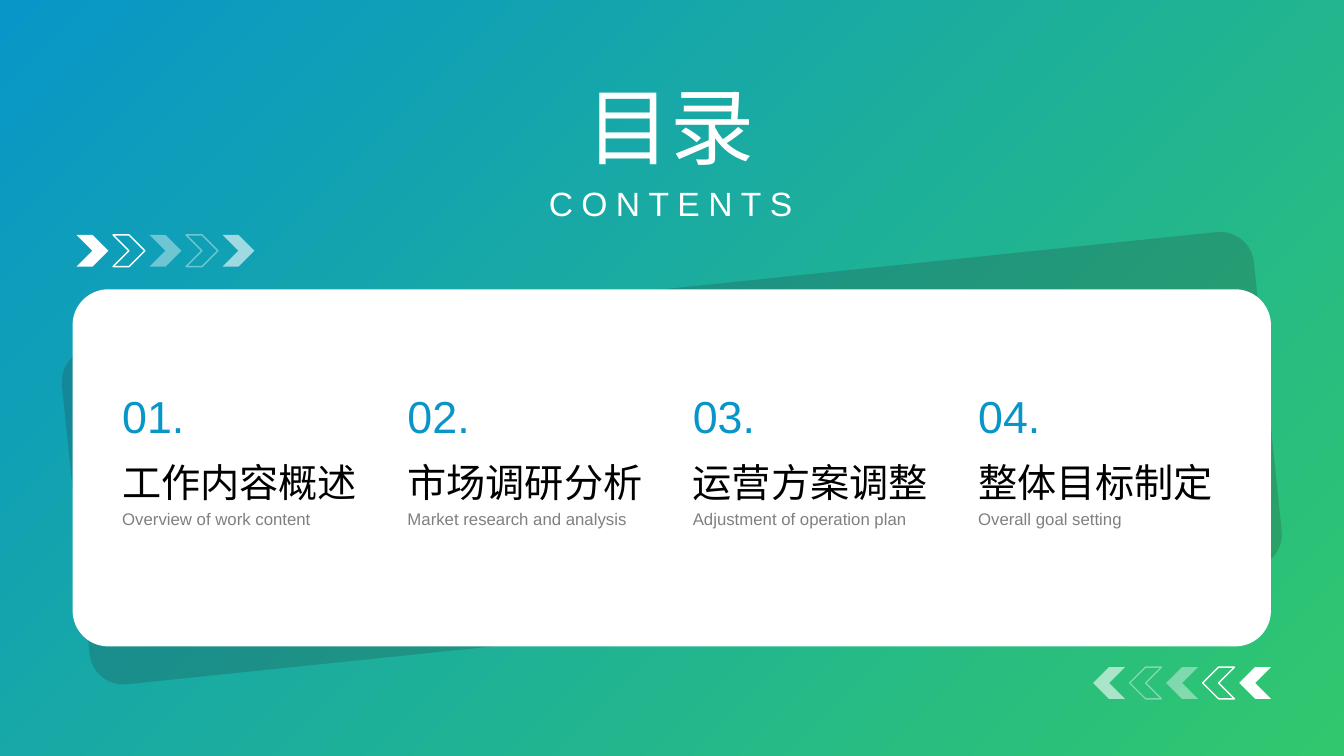
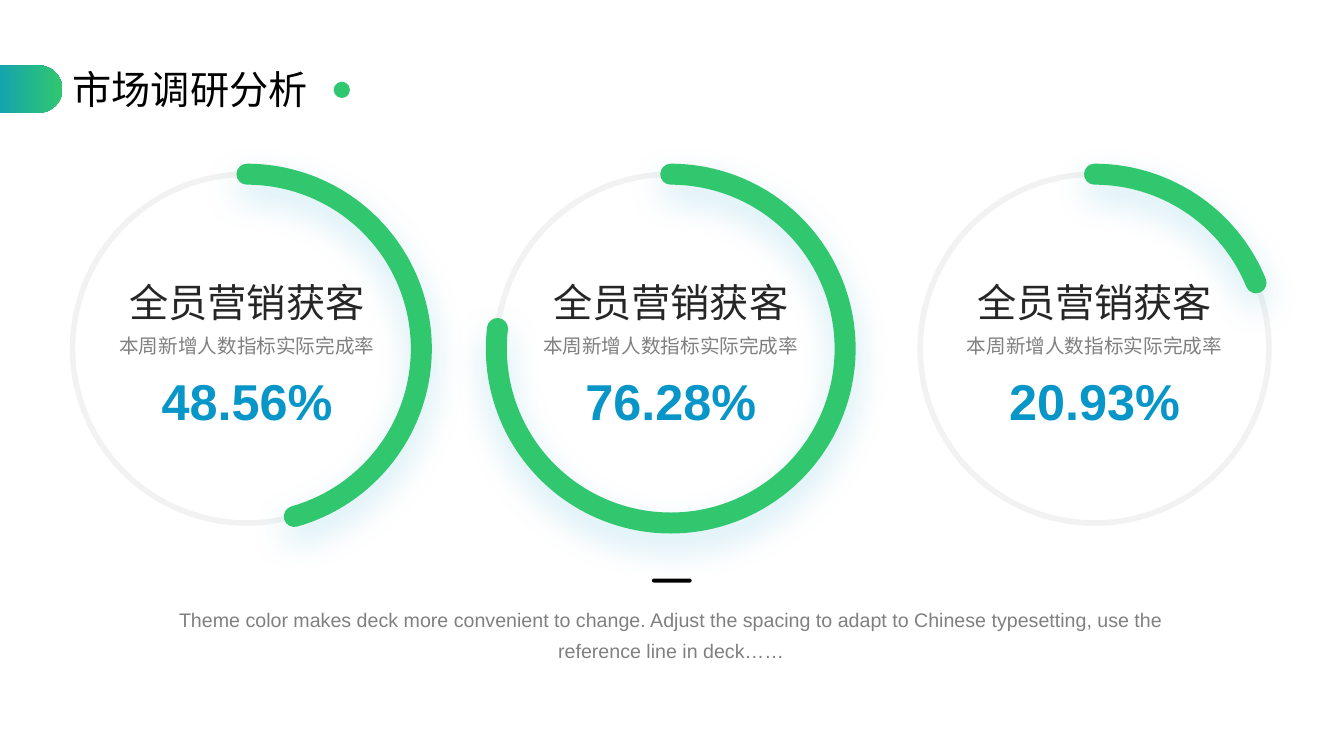
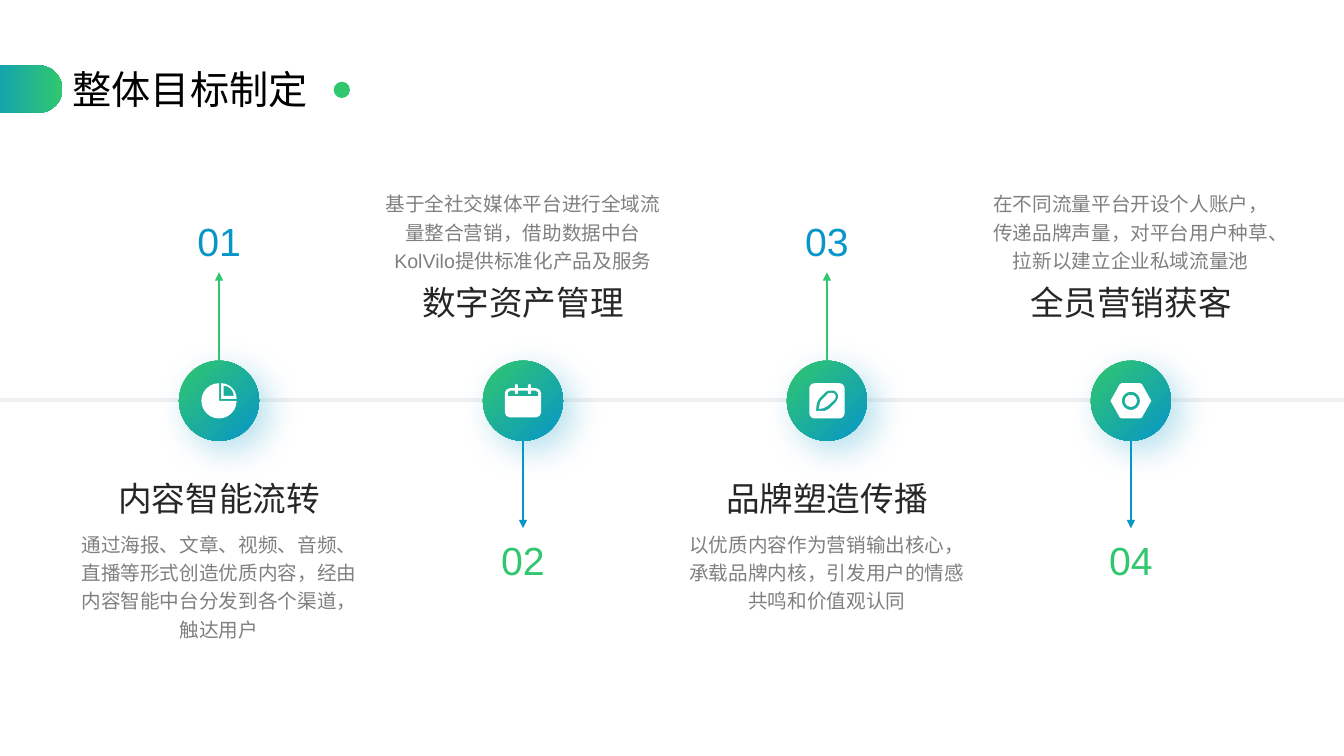
from math import cos, radians, sin

from lxml import etree
from pptx import Presentation
from pptx.dml.color import RGBColor
from pptx.enum.shapes import MSO_CONNECTOR, MSO_SHAPE
from pptx.enum.text import MSO_ANCHOR, MSO_AUTO_SIZE, PP_ALIGN
from pptx.oxml.ns import qn
from pptx.util import Cm, Pt

ARC, CHEVRON, OVAL = MSO_SHAPE.ARC, MSO_SHAPE.CHEVRON, MSO_SHAPE.OVAL
RECTANGLE, ROUNDED = MSO_SHAPE.RECTANGLE, MSO_SHAPE.ROUNDED_RECTANGLE
STRAIGHT = MSO_CONNECTOR.STRAIGHT
TOP, MIDDLE, BOTTOM = MSO_ANCHOR.TOP, MSO_ANCHOR.MIDDLE, MSO_ANCHOR.BOTTOM
LEFT, CENTER = PP_ALIGN.LEFT, PP_ALIGN.CENTER

FONT = "Arial"
BLUE, GREEN = "0896C8", "31C76E"
BLACK, INK, GREY, WHITE = "000000", "262626", "808080", "FFFFFF"
TRACK, AXIS = "F2F2F2", "F0F0F0"


def tint(fill, *colours, alpha=100, angle=0):
    """Fill with nothing, one colour or a two-colour gradient (angle clockwise)."""
    if not colours:
        fill.background()
    elif len(colours) == 1:
        fill.solid()
        fill.fore_color.rgb = RGBColor.from_string(colours[0])
        if alpha < 100:
            colour = fill._xPr.find(qn("a:solidFill"))[0]
            etree.SubElement(colour, qn("a:alpha"), val=str(alpha * 1000))
    else:
        fill.gradient()
        fill.gradient_angle = -angle % 360
        for stop, colour in zip(fill.gradient_stops, colours):
            stop.color.rgb = RGBColor.from_string(colour)


def write(slide, text, box, size, colour, bold=False, align=LEFT, anchor=TOP,
          spacing=None, tracking=0, holder=None):
    """Put text in a new text box, or in holder, at box (cm)."""
    left, top, width, height = map(Cm, box)
    if holder is None:
        holder = slide.shapes.add_textbox(left, top, width, height)
    else:
        holder.left, holder.top, holder.width, holder.height = left, top, width, height
    frame = holder.text_frame
    frame.word_wrap = True
    frame.auto_size = MSO_AUTO_SIZE.NONE
    frame.vertical_anchor = anchor
    frame.margin_left = frame.margin_top = frame.margin_right = frame.margin_bottom = 0
    paragraph = frame.paragraphs[0]
    paragraph.alignment = align
    if spacing:
        paragraph.line_spacing = spacing
    run = paragraph.add_run()
    run.text = text
    run.font.name, run.font.size, run.font.bold = FONT, Pt(size), bold
    tint(run.font.fill, colour)
    if tracking:
        run.font._element.set("spc", str(tracking * 100))


prs = Presentation()
prs.slide_width, prs.slide_height = Cm(33.87), Cm(19.05)
contents, research, goals = [prs.slides.add_slide(prs.slide_layouts[5]) for _ in range(3)]
glows = []  # shape, opacity in percent, direction in degrees

# Heading shared by the content slides
for slide, heading in ((research, "市场调研分析"), (goals, "整体目标制定")):
    tint(slide.background.fill, WHITE)
    write(slide, heading, (1.83, 1.65, 7, 1.19), 28, BLACK, holder=slide.shapes.title)
    dot = slide.shapes.add_shape(OVAL, Cm(8.41), Cm(2.06), Cm(0.41), Cm(0.41))
    tint(dot.fill, GREEN)
    tab = slide.shapes.add_shape(ROUNDED, Cm(-0.64), Cm(1.65), Cm(2.21), Cm(1.19))
    tab.adjustments[0] = 0.5
    tint(tab.fill, BLUE, GREEN)
    for part in (dot, tab):
        tint(part.line.fill)

# Contents
tint(contents.background.fill, BLUE, GREEN, angle=45)
write(contents, "目录", (12.9, 1.85, 8, 2.57), 60, WHITE, align=CENTER, anchor=MIDDLE,
      holder=contents.shapes.title)
write(contents, "CONTENTS", (12.9, 4.62, 8, 1.02), 24, WHITE, align=CENTER,
      anchor=MIDDLE, tracking=6)
for height, turn, colour, alpha in ((8.51, 354.1, INK, 20), (9, 0, WHITE, 100)):
    card = contents.shapes.add_shape(ROUNDED, Cm(1.83), Cm(7.29), Cm(30.2), Cm(height))
    card.adjustments[0] = 0.1
    card.rotation = turn
    tint(card.fill, colour, alpha=alpha)
    tint(card.line.fill)

chapters = [
    ("工作内容概述", "Overview of work content"),
    ("市场调研分析", "Market research and analysis"),
    ("运营方案调整", "Adjustment of operation plan"),
    ("整体目标制定", "Overall goal setting"),
]
for i, (chapter, translation) in enumerate(chapters):
    left = 3.08 + 7.19 * i
    write(contents, f"{i + 1:02}.", (left, 9.68, 2.49, 1.6), 32, BLUE, anchor=MIDDLE)
    write(contents, chapter, (left, 11.56, 7, 1.19), 28, BLACK)
    write(contents, translation, (left, 12.83, 7, 0.61), 12, GREY)

for start, step, top, turn in ((1.93, 0.92, 5.92, 0), (31.23, -0.92, 16.81, 180)):
    for i, alpha in enumerate((100, 100, 40, 40, 60)):
        chevron = contents.shapes.add_shape(
            CHEVRON, Cm(start + step * i), Cm(top), Cm(0.8), Cm(0.8))
        chevron.rotation = turn
        if i % 2:
            tint(chevron.fill)
            tint(chevron.line.fill, WHITE, alpha=alpha)
            chevron.line.width = Pt(1)
        else:
            tint(chevron.fill, WHITE, alpha=alpha)
            tint(chevron.line.fill)

# Market research: three progress rings, each with the angle where its arc ends
for i, (rate, end) in enumerate((("48.56%", 74.24), ("76.28%", 186.63), ("20.93%", 337.84))):
    left = 1.83 + 10.68 * i
    ring, progress = [
        research.shapes.add_shape(kind, Cm(left), Cm(4.39), Cm(8.79), Cm(8.79))
        for kind in (OVAL, ARC)]
    for part, colour, width in ((ring, TRACK, 4), (progress, GREEN, 15)):
        tint(part.fill)
        tint(part.line.fill, colour)
        part.line.width = Pt(width)
    progress.adjustments[0] = 270 * 0.6  # 60000 units a degree, over 100000
    progress.adjustments[1] = end * 0.6
    progress.line._get_or_add_ln().set("cap", "rnd")
    glows.append((progress, 20, 90))
    left += 0.7
    write(research, "全员营销获客", (left, 7.01, 7.39, 1.19), 28, INK, align=CENTER)
    write(research, "本周新增人数指标实际完成率", (left, 8.41, 7.39, 0.61), 14, GREY, align=CENTER)
    write(research, rate, (left, 9.32, 7.39, 1.55), 36, BLUE, bold=True, align=CENTER)

write(research, "Theme color makes deck more convenient to change. Adjust the spacing to adapt "
      "to Chinese typesetting, use the reference line in deck……",
      (3.53, 14.91, 26.77, 2.01), 14, GREY, align=CENTER, anchor=MIDDLE, spacing=1.3)
dash = research.shapes.add_shape(ROUNDED, Cm(16.43), Cm(14.58), Cm(1), Cm(0.1))
dash.adjustments[0] = 0.5
tint(dash.fill, BLACK)
tint(dash.line.fill)

# Icon outlines around (0, 0), in hundredths of an inch; nested outlines cut holes
rim = [(cos(radians(90 * q + a)), sin(radians(90 * q + a)), sx, sy)
       for q, (sx, sy) in enumerate(((1, 1), (-1, 1), (-1, -1), (1, -1)))
       for a in range(0, 91, 15)]
pie_icon = [
    [(0, 0)] + [(17.5 * x, 17.5 * y) for x, y, _, _ in rim[:21]],
    [(2, -2)] + [(2 + 15.5 * x, -2 + 15.5 * y) for x, y, _, _ in rim[21:]],
    [(4.5, -5)] + [(4.5 + 10 * x, -5 + 10 * y) for x, y, _, _ in rim[21:]],
]
calendar_icon = [
    [(-8, -12.5), (-8, -10), (-13, -10), (-15, -8), (-15, -4.5), (15, -4.5), (15, -8),
     (13, -10), (8, -10), (8, -12.5), (13, -12.5), (16.5, -11), (18, -8), (18, 12),
     (16.5, 15), (13, 16.5), (-13, 16.5), (-16.5, 15), (-18, 12), (-18, -8),
     (-16.5, -11), (-13, -12.5)],
    [(-5, -12.5), (5, -12.5), (5, -10), (-5, -10)],
] + [[(peg + 1.5 * x, -11.5 + 3.5 * sy + 1.5 * y) for x, y, _, sy in rim] for peg in (-6.5, 6.5)]
pencil_icon = [
    [(12 * sx + 5.5 * x, 12 * sy + 5.5 * y) for x, y, sx, sy in rim],
    [(4, -10), (1, -10), (-1, -9), (-8, -2), (-10, 2), (-11, 10), (-2, 10), (2, 8),
     (9, 1), (11, -3), (11, -6), (9, -9), (7, -10)],
    [(4, -8), (2, -8), (1, -7), (-6, 0), (-7, 2), (-8, 8), (-4, 7.5), (0, 5.5),
     (7, -0.5), (8.5, -3), (8.5, -5.5), (7, -7.5)],
]
nut_icon = [
    [(-9, -17.5), (9, -17.5), (11, -16.5), (20, -0.5), (20, 0.5), (11, 16.5),
     (9, 17.5), (-9, 17.5), (-11, 16.5), (-20, 0.5), (-20, -0.5), (-11, -16.5)],
] + [[(radius * x, radius * y) for x, y, _, _ in rim] for radius in (9, 6)]

# Goals: steps along an axis, texts alternating below and above it
axis = goals.shapes.add_shape(RECTANGLE, 0, Cm(10.03), prs.slide_width, Cm(0.1))
tint(axis.fill, AXIS)
tint(axis.line.fill)

steps = [
    ("内容智能流转", "通过海报、文章、视频、音频、直播等形式创造优质内容，经由内容智能中台分发到各个渠道，触达用户", pie_icon),
    ("数字资产管理", "基于全社交媒体平台进行全域流量整合营销，借助数据中台KolVilo提供标准化产品及服务", calendar_icon),
    ("品牌塑造传播", "以优质内容作为营销输出核心，承载品牌内核，引发用户的情感共鸣和价值观认同", pencil_icon),
    ("全员营销获客", "在不同流量平台开设个人账户，传递品牌声量，对平台用户种草、拉新以建立企业私域流量池", nut_icon),
]
below = dict(heading=(12.04, TOP), detail=(13.31, 2.84, TOP), number=(5.46, BOTTOM),
             arrow=(9.09, 6.86), colours=(BLUE, GREEN))
above = dict(heading=(7.09, BOTTOM), detail=(4.75, 2.11, BOTTOM), number=(13.51, TOP),
             arrow=(11.11, 13.31), colours=(GREEN, BLUE))
unit = Cm(0.0254) / 100
for i, (step, detail, icon) in enumerate(steps):
    center = 5.52 + 7.66 * i
    side = above if i % 2 else below
    number_colour, arrow_colour = side["colours"]

    top, anchor = side["heading"]
    write(goals, step, (center - 3, top, 6, 1.02), 24, INK, align=CENTER, anchor=anchor)
    top, height, anchor = side["detail"]
    write(goals, detail, (center - 3.5, top, 7, height), 14, GREY, align=CENTER,
          anchor=anchor, spacing=1.2)
    top, anchor = side["number"]
    write(goals, f"{i + 1:02}", (center - 3, top, 6, 1.19), 28, number_colour,
          align=CENTER, anchor=anchor)

    start, end = side["arrow"]
    arrow = goals.shapes.add_connector(STRAIGHT, Cm(center), Cm(start), Cm(center), Cm(end))
    tint(arrow.line.fill, arrow_colour)
    arrow.line.width = Pt(2)
    etree.SubElement(arrow.line._get_or_add_ln(), qn("a:tailEnd"), type="triangle")
    etree.SubElement(arrow._element.spPr, qn("a:effectLst"))

    badge = goals.shapes.add_shape(OVAL, Cm(center - 1.01), Cm(9.09), Cm(2.02), Cm(2.02))
    tint(badge.fill, GREEN, BLUE, angle=45)
    glows.append((badge, 30, 45))

    outlines = [[(100 * x, 100 * y) for x, y in outline] for outline in icon]
    pen = goals.shapes.build_freeform(*outlines[0][0], scale=unit)
    for outline in outlines:
        pen.move_to(*outline[0])
        pen.add_line_segments(outline[1:], close=True)
    symbol = pen.convert_to_shape(Cm(center), Cm(10.1))
    tint(symbol.fill, WHITE)
    for part in (badge, symbol):
        tint(part.line.fill)

# Shadows: none by default, a soft blue glow where listed
for slide in prs.slides:
    for shape in slide.shapes:
        if hasattr(shape, "shadow"):
            shape.shadow.inherit = False
for shape, alpha, direction in glows:
    effects = shape._element.spPr.find(qn("a:effectLst"))
    shadow = etree.SubElement(
        effects, qn("a:outerShdw"), blurRad=str(Pt(25)), dist=str(Pt(10)),
        dir=str(direction * 60000), algn="ctr", rotWithShape="0")
    colour = etree.SubElement(shadow, qn("a:srgbClr"), val=BLUE)
    etree.SubElement(colour, qn("a:alpha"), val=str(alpha * 1000))

prs.save("out.pptx")
